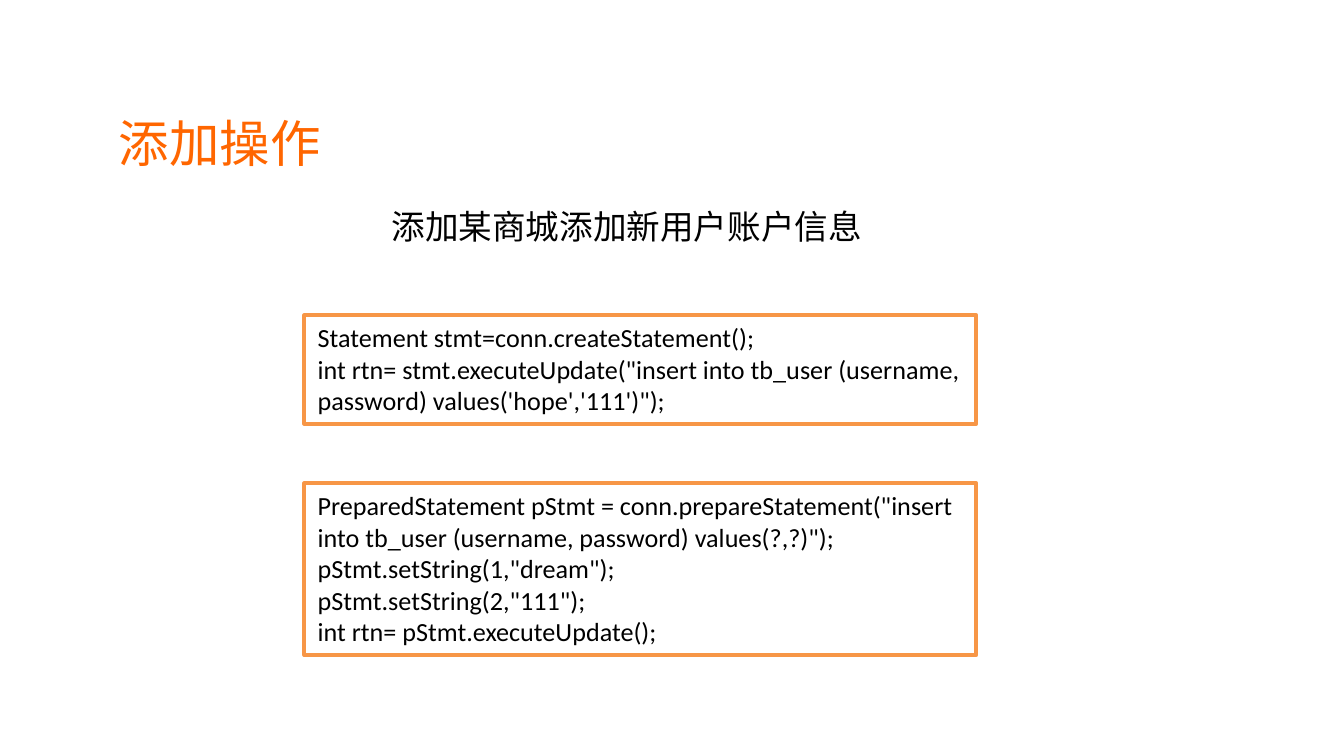
import pptx
import pptx.util
import pptx.dml.color
import pptx.enum.shapes
import pptx.enum.text
from dataclasses import dataclass

SCALE = 4572  # EMU in one px, 200 px to the inch
ANCHOR = pptx.enum.text.MSO_ANCHOR
FIT = pptx.enum.text.MSO_AUTO_SIZE


@dataclass(frozen=True)
class Theme:
    title: str = "FF6600"
    text: str = "000000"
    fill: str = "FFFFFF"
    edge: str = "F79646"
    head: str = "Arial"
    body: str = "Calibri"
    large: int = 27
    mid: int = 18
    small: int = 14
    rule: int = 2


THEME = Theme()
STMT = [
    "Statement stmt=conn.createStatement();",
    "int rtn= stmt.executeUpdate(\"insert into tb_user (username, password) values('hope','111')\");",
]
PREP = [
    'PreparedStatement pStmt = conn.prepareStatement("insert into tb_user (username, password) values(?,?)");',
    'pStmt.setString(1,"dream");',
    'pStmt.setString(2,"111");',
    "int rtn= pStmt.executeUpdate();",
]


def px(*nums):
    return [pptx.util.Emu(n * SCALE) for n in nums]


def color(code):
    return pptx.dml.color.RGBColor.from_string(code)


def write(frame, lines, font, size, tint):
    """Fill the frame with one left-aligned paragraph for each line."""
    for i, line in enumerate(lines):
        para = frame.add_paragraph() if i else frame.paragraphs[0]
        para.alignment = pptx.enum.text.PP_ALIGN.LEFT
        run = para.add_run()
        run.text = line
        run.font.name = font
        run.font.size = pptx.util.Pt(size)
        run.font.color.rgb = color(tint)


def add_title(slide, box, text):
    shape = slide.shapes.title
    shape.left, shape.top, shape.width, shape.height = px(*box)
    frame = shape.text_frame
    frame.auto_size = FIT.NONE
    frame.vertical_anchor = ANCHOR.MIDDLE
    frame.margin_left, frame.margin_right = px(14, 14)
    frame.margin_top, frame.margin_bottom = px(8, 8)
    write(frame, [text], THEME.head, THEME.large, THEME.title)


def add_lead(slide, box, text):
    frame = slide.shapes.add_textbox(*px(*box)).text_frame
    frame.word_wrap = False
    frame.auto_size = FIT.SHAPE_TO_FIT_TEXT
    write(frame, [text], THEME.body, THEME.mid, THEME.text)


def add_code(slide, box, lines):
    kind = pptx.enum.shapes.MSO_SHAPE.RECTANGLE
    shape = slide.shapes.add_shape(kind, *px(*box))
    shape.shadow.inherit = False
    shape.fill.solid()
    shape.fill.fore_color.rgb = color(THEME.fill)
    shape.line.color.rgb = color(THEME.edge)
    shape.line.width = pptx.util.Pt(THEME.rule)
    frame = shape.text_frame
    frame.word_wrap = True
    frame.auto_size = FIT.SHAPE_TO_FIT_TEXT
    frame.vertical_anchor = ANCHOR.TOP
    write(frame, lines, THEME.body, THEME.small, THEME.text)


def main():
    deck = pptx.Presentation()
    deck.slide_width, deck.slide_height = px(2000, 1125)
    slide = deck.slides.add_slide(deck.slide_layouts.get_by_name("Title Only"))
    add_title(slide, (163, 135, 1588, 154), "添加操作")
    add_lead(slide, (563, 297, 748, 80), "添加某商城添加新用户账户信息")
    for top, high, lines in ((469, 162, STMT), (719, 256, PREP)):
        add_code(slide, (453, top, 1000, high), lines)
    deck.save("out.pptx")


if __name__ == "__main__":
    main()
